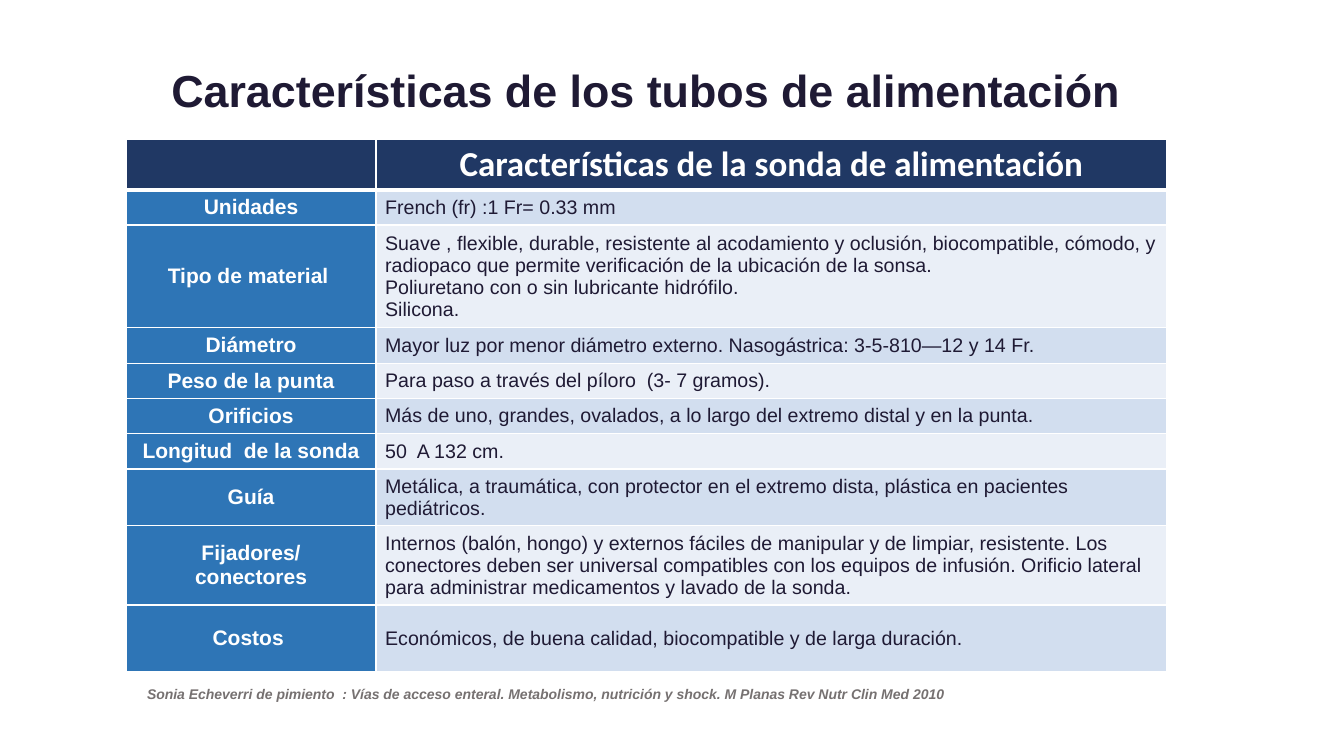
from dataclasses import dataclass

from lxml import etree
from pptx import Presentation
from pptx import util as u
from pptx.dml.color import RGBColor
from pptx.enum import text
from pptx.oxml import ns


@dataclass(frozen=True)
class Theme:
    font: str = "Arial"
    header_font: str = "Calibri"
    ink: str = "1F1A34"
    white: str = "FFFFFF"
    citation: str = "767171"
    header_fill: str = "203864"
    label_fill: str = "2E75B6"
    bands: tuple = ("D2DEEF", "EAEFF7")
    title_size: int = 32
    header_size: int = 25
    label_size: int = 15
    detail_size: int = 14
    citation_size: int = 10


class SlideBuilder:
    def __init__(self, slide, theme):
        self.slide = slide
        self.theme = theme

    def set_words(self, frame, words, size, color, bold=False, italic=False,
                  font=None, align=text.PP_ALIGN.LEFT):
        frame.text = words
        for paragraph in frame.paragraphs:
            paragraph.alignment = align
            for run in paragraph.runs:
                run.font.name = font or self.theme.font
                run.font.size = u.Pt(size)
                run.font.bold = bold
                run.font.italic = italic
                run.font.color.rgb = RGBColor.from_string(color)

    def title(self, words, *box):
        title = self.slide.shapes.title
        title.left, title.top, title.width, title.height = map(u.Inches, box)
        title.text_frame.vertical_anchor = text.MSO_ANCHOR.MIDDLE
        self.set_words(title.text_frame, words, self.theme.title_size,
                       self.theme.ink, bold=True, align=text.PP_ALIGN.CENTER)
        title.text_frame.paragraphs[0].line_spacing = 0.9

    def citation(self, words, *box):
        citation = self.slide.shapes.add_textbox(*map(u.Inches, box))
        citation.text_frame.word_wrap = True
        self.set_words(citation.text_frame, words, self.theme.citation_size,
                       self.theme.citation, bold=True, italic=True)

    def borders(self, cell, top=1, bottom=1):
        properties = cell._tc.get_or_add_tcPr()
        sides = {"lnL": 1, "lnR": 1, "lnT": top, "lnB": bottom}
        for place, (side, points) in enumerate(sides.items()):
            line = etree.Element(ns.qn(f"a:{side}"), w=str(u.Pt(points)))
            fill = etree.SubElement(line, ns.qn("a:solidFill"))
            etree.SubElement(fill, ns.qn("a:srgbClr"), val=self.theme.white)
            properties.insert(place, line)

    def cell(self, cell, fill, words, size, color, anchor=text.MSO_ANCHOR.MIDDLE,
             top=1, bottom=1, **style):
        cell.margin_left = cell.margin_right = u.Inches(0.09)
        cell.margin_top = cell.margin_bottom = u.Inches(0.04)
        cell.vertical_anchor = anchor
        cell.fill.solid()
        cell.fill.fore_color.rgb = RGBColor.from_string(fill)
        self.borders(cell, top, bottom)
        if words:
            self.set_words(cell.text_frame, words, size, color, **style)

    def table(self, header, features, left, top, widths, heights):
        theme = self.theme
        table = self.slide.shapes.add_table(
            len(heights), len(widths), u.Inches(left), u.Inches(top),
            u.Inches(sum(widths)), u.Inches(sum(heights))).table
        for column, width in zip(table.columns, widths):
            column.width = u.Inches(width)
        for row, height in zip(table.rows, heights):
            row.height = u.Inches(height)

        # Header row
        for column, words in enumerate(header):
            self.cell(table.cell(0, column), theme.header_fill, words,
                      theme.header_size, theme.white, text.MSO_ANCHOR.TOP,
                      bottom=3, bold=True, font=theme.header_font,
                      align=text.PP_ALIGN.CENTER)

        # Labels and banded details
        for row, (label, detail) in enumerate(features, start=1):
            top_line = 3 if row == 1 else 1
            self.cell(table.cell(row, 0), theme.label_fill, label,
                      theme.label_size, theme.white, top=top_line, bold=True,
                      align=text.PP_ALIGN.CENTER)
            self.cell(table.cell(row, 1), theme.bands[(row - 1) % 2], detail,
                      theme.detail_size, theme.ink, top=top_line)


FEATURES = [
    ("Unidades", "French (fr) :1 Fr= 0.33 mm"),
    ("Tipo de material ",
     "Suave , flexible, durable, resistente al acodamiento y oclusión, "
     "biocompatible, cómodo, y radiopaco que permite verificación de la "
     "ubicación de la sonsa.\n"
     "Poliuretano con o sin lubricante hidrófilo.\nSilicona."),
    ("Diámetro",
     "Mayor luz por menor diámetro externo. Nasogástrica: 3-5-810—12 y 14 Fr."),
    ("Peso de la punta", "Para paso a través del píloro  (3- 7 gramos)."),
    ("Orificios",
     "Más de uno, grandes, ovalados, a lo largo del extremo distal y en la punta."),
    ("Longitud  de la sonda", "50  A 132 cm."),
    ("Guía",
     "Metálica, a traumática, con protector en el extremo dista, plástica en "
     "pacientes pediátricos."),
    ("Fijadores/\nconectores",
     "Internos (balón, hongo) y externos fáciles de manipular y de limpiar, "
     "resistente. Los conectores deben ser universal compatibles con los "
     "equipos de infusión. Orificio lateral para administrar medicamentos y "
     "lavado de la sonda."),
    ("Costos ", "Económicos, de buena calidad, biocompatible y de larga duración."),
]


def main():
    deck = Presentation()
    deck.slide_width, deck.slide_height = u.Inches(13.33), u.Inches(7.5)
    title_only = deck.slide_layouts[5]
    builder = SlideBuilder(deck.slides.add_slide(title_only), Theme())

    # Title
    builder.title("Características de los tubos de alimentación",
                  0.35, 0.5, 12.12, 0.84)

    # Feeding tube features
    builder.table(("", "Características de la sonda de alimentación"), FEATURES,
                  left=1.25, top=1.38, widths=(2.48, 7.84),
                  heights=(0.5, 0.35, 1.02, 0.35, 0.35, 0.35, 0.35, 0.56, 0.79, 0.66))

    # Source
    builder.citation("Sonia Echeverri de pimiento  : Vías de acceso enteral. "
                     "Metabolismo, nutrición y shock. M Planas Rev Nutr Clin Med 2010",
                     1.36, 6.75, 9.22, 0.27)

    deck.save("out.pptx")


if __name__ == "__main__":
    main()
